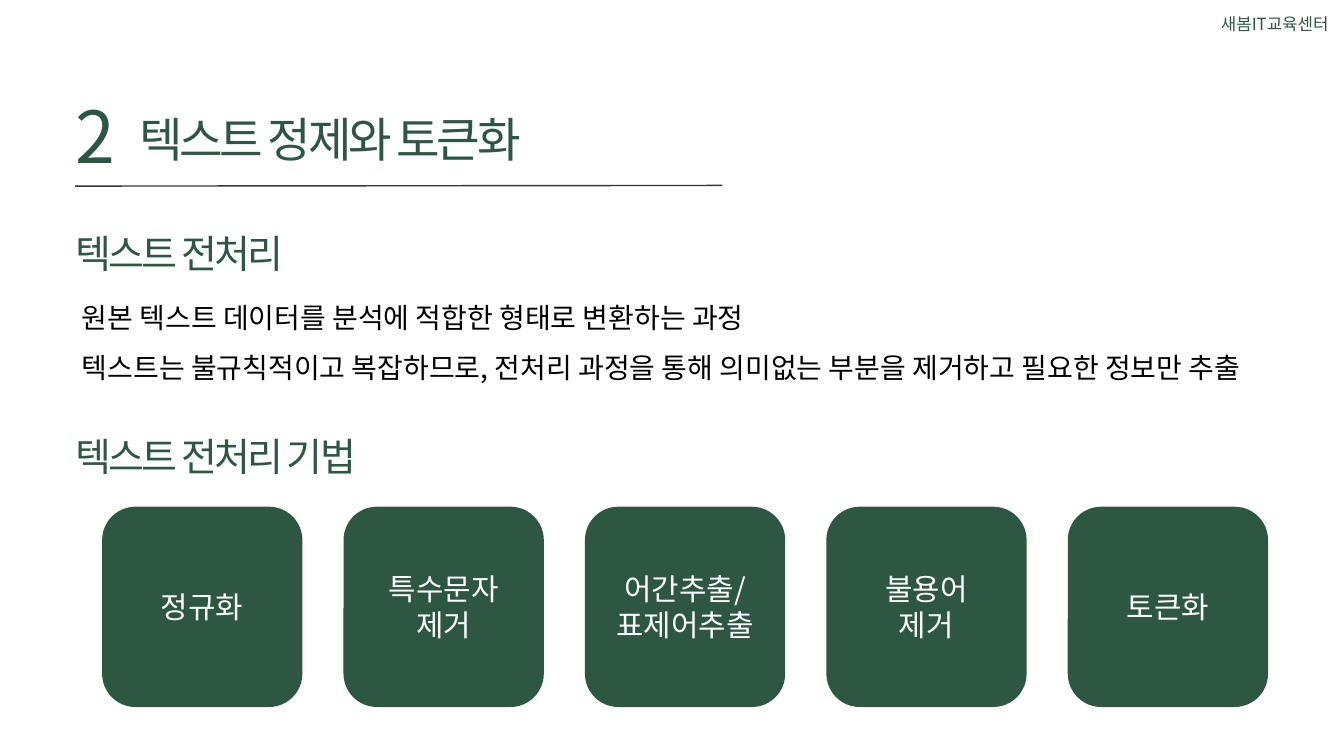
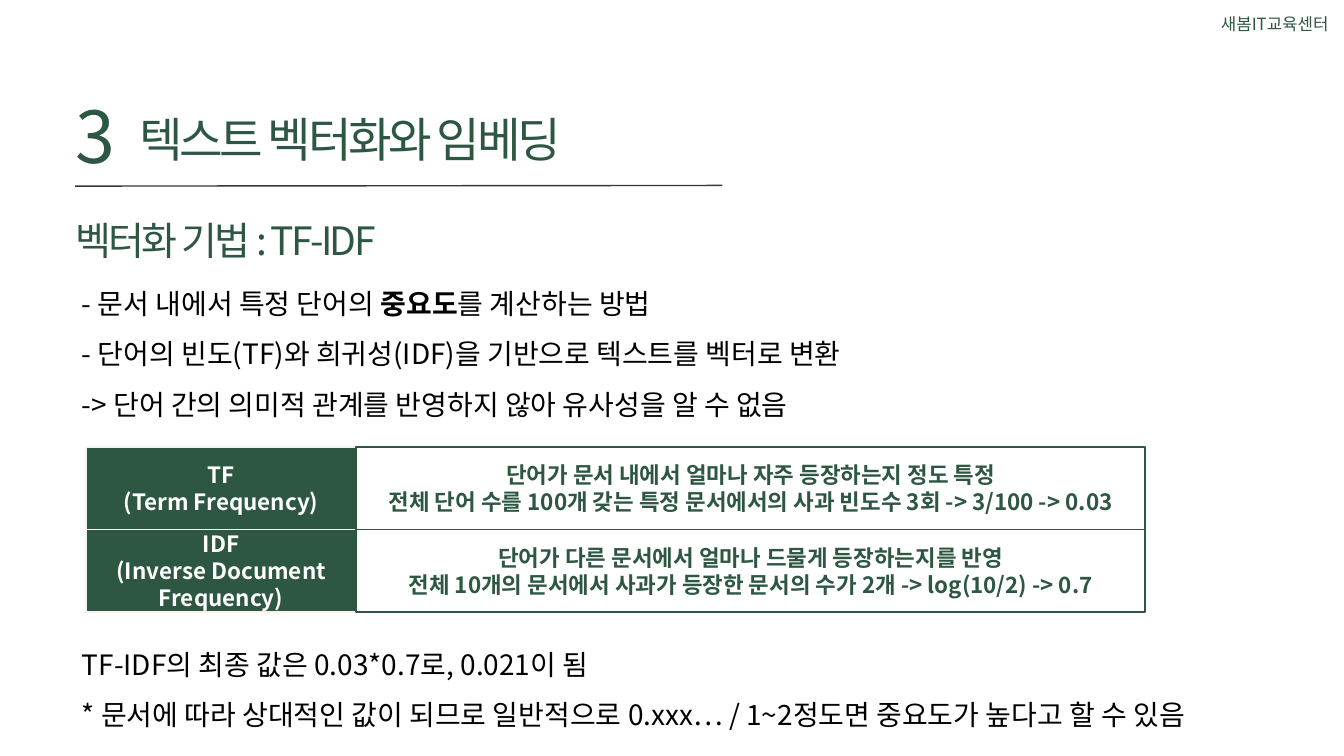
import pptx
import pptx.util
import pptx.dml.color
import pptx.enum.shapes
import pptx.enum.text
import pptx.oxml
import pptx.oxml.ns

Pt = pptx.util.Pt
RGBColor = pptx.dml.color.RGBColor
Shape = pptx.enum.shapes.MSO_SHAPE
Align = pptx.enum.text.PP_ALIGN
Anchor = pptx.enum.text.MSO_ANCHOR
Fit = pptx.enum.text.MSO_AUTO_SIZE
qn = pptx.oxml.ns.qn

GREEN = RGBColor(0x2E, 0x57, 0x43)
GRAY = RGBColor(0x37, 0x37, 0x37)
CREAM = RGBColor(0xF7, 0xF3, 0xEF)
BLACK = RGBColor(0, 0, 0)
WHITE = RGBColor(255, 255, 255)
FONT = "Noto Sans CJK KR"
LEFT = 80.64


def write(shape, lines, size, color, align=Align.LEFT, lead=None,
          track=0, bold=False, inset=True, anchor=Anchor.TOP):
    """Fill a shape; a line is a string or a list of (text, bold) runs."""
    frame = shape.text_frame
    frame.word_wrap = True
    frame.auto_size = Fit.NONE
    frame.vertical_anchor = anchor
    if not inset:
        frame.margin_left = frame.margin_right = 0
        frame.margin_top = frame.margin_bottom = 0
    for i, line in enumerate(lines):
        para = frame.paragraphs[0] if i == 0 else frame.add_paragraph()
        para.alignment = align
        if lead:
            para.line_spacing = lead
        for text, heavy in [(line, bold)] if isinstance(line, str) else line:
            run = para.add_run()
            run.text = text
            font = run.font
            font.size, font.bold, font.name = Pt(size), heavy, FONT
            font.color.rgb = color
            props = run._r.get_or_add_rPr()
            pptx.oxml.ns  # namespace map for the East Asian face
            face = props.makeelement(qn("a:ea"), {"typeface": FONT})
            props.find(qn("a:latin")).addnext(face)
            if track:
                props.set("spc", str(round(track * 100)))


def block(kind, x, y, w, h, fill, edge, lines, size, color, bold=False):
    """Add a filled shape with centred text."""
    shape = slide.shapes.add_shape(kind, Pt(x), Pt(y), Pt(w), Pt(h))
    shape.shadow.inherit = False
    shape.fill.solid()
    shape.fill.fore_color.rgb = fill
    if edge:
        shape.line.color.rgb = edge
        shape.line.width = Pt(2)
    else:
        shape.line.fill.background()
    write(shape, lines, size, color, Align.CENTER, bold=bold,
          anchor=Anchor.MIDDLE)


# Content: number, title, heads (top, text), bodies (top, width, height, lines)
PAGES = [
    ("2", "텍스트 정제와 토큰화",
     [(237.6, "텍스트 전처리"), (455, "텍스트 전처리 기법")],
     [(300.2, 1315.4, 110.2, [
         "원본 텍스트 데이터를 분석에 적합한 형태로 변환하는 과정",
         "텍스트는 불규칙적이고 복잡하므로, 전처리 과정을 통해 의미없는 부분을 제거하고 필요한 정보만 추출"])]),
    ("3", "텍스트 벡터화와 임베딩",
     [(223.2, "벡터화 기법 : TF-IDF")],
     [(285.1, 1014.5, 164.2, [
         [("- 문서 내에서 특정 단어의 ", False), ("중요도", True),
          ("를 계산하는 방법", False)],
         "- 단어의 빈도(TF)와 희귀성(IDF)을 기반으로 텍스트를 벡터로 변환",
         "-> 단어 간의 의미적 관계를 반영하지 않아 유사성을 알 수 없음"]),
      (671.8, 1258.6, 110.2, [
          "TF-IDF의 최종 값은 0.03*0.7로, 0.021이 됨",
          "* 문서에 따라 상대적인 값이 되므로 일반적으로 0.xxx… / 1~2정도면 중요도가 높다고 할 수 있음"])]),
]
CARDS = [["정규화"], ["특수문자", "제거"], ["어간추출/", "표제어추출"],
         ["불용어", "제거"], ["토큰화"]]
TERMS = [
    (["TF", "(Term Frequency)"],
     ["단어가 문서 내에서 얼마나 자주 등장하는지 정도 특정",
      "전체 단어 수를 100개 갖는 특정 문서에서의 사과 빈도수 3회 -> 3/100 -> 0.03"]),
    (["IDF", "(Inverse Document Frequency)"],
     ["단어가 다른 문서에서 얼마나 드물게 등장하는지를 반영",
      "전체 10개의 문서에서 사과가 등장한 문서의 수가 2개 -> log(10/2) -> 0.7"]),
]

deck = pptx.Presentation()
deck.slide_width, deck.slide_height = Pt(1440), Pt(810)
layout = deck.slide_layouts[5]

for number, name, heads, bodies in PAGES:
    slide = deck.slides.add_slide(layout)

    # Title, number and rule
    title = slide.shapes.title
    title.left, title.top = Pt(149), Pt(108)
    title.width, title.height = Pt(496), Pt(66.2)
    write(title, [name], 50.8, GREEN, lead=Pt(71.1), track=-3.4, inset=False)
    box = slide.shapes.add_textbox(Pt(LEFT), Pt(83.5), Pt(56.9), Pt(99.4))
    write(box, [number], 76.8, GREEN, lead=Pt(107.5), track=-5.1, inset=False)
    rule = slide.shapes.add_connector(
        pptx.enum.shapes.MSO_CONNECTOR.STRAIGHT,
        Pt(LEFT), Pt(199.4), Pt(774), Pt(198.7))
    rule.line.color.rgb = GRAY
    rule.line.width = Pt(1.5)
    props = rule._element.spPr
    props.append(props.makeelement(qn("a:effectLst"), {}))

    # Heads and body text
    for top, text in heads:
        box = slide.shapes.add_textbox(Pt(LEFT), Pt(top), Pt(693.4), Pt(56.2))
        write(box, [text], 41.8, GREEN, lead=Pt(58.5), track=-2.8, inset=False)
    for top, width, height, lines in bodies:
        box = slide.shapes.add_textbox(Pt(LEFT), Pt(top), Pt(width), Pt(height))
        write(box, lines, 30, BLACK, lead=1.5)

    # Cards of methods, or grid of terms
    if number == "2":
        for i, lines in enumerate(CARDS):
            block(Shape.ROUNDED_RECTANGLE, 109.4 + i * 258.66, 542.9,
                  214.6, 214.6, GREEN, None, lines, 32, WHITE)
    else:
        for i, (term, note) in enumerate(TERMS):
            y = 478.8 + i * 88.6
            block(Shape.RECTANGLE, 92.2, y, 289.4, 88.6, GREEN, CREAM,
                  term, 24, WHITE, True)
            block(Shape.RECTANGLE, 381.6, y, 845.3, 88.6, WHITE, GREEN,
                  note, 24, GREEN, True)

# Corner label, moved to the shared layout
label = slide.shapes.add_textbox(Pt(1292.4), Pt(10.8), Pt(138.2), Pt(28.8))
write(label, ["새봄IT교육센터"], 18, GREEN, Align.RIGHT)
layout.shapes.element.append(label._element)

deck.save("out.pptx")
